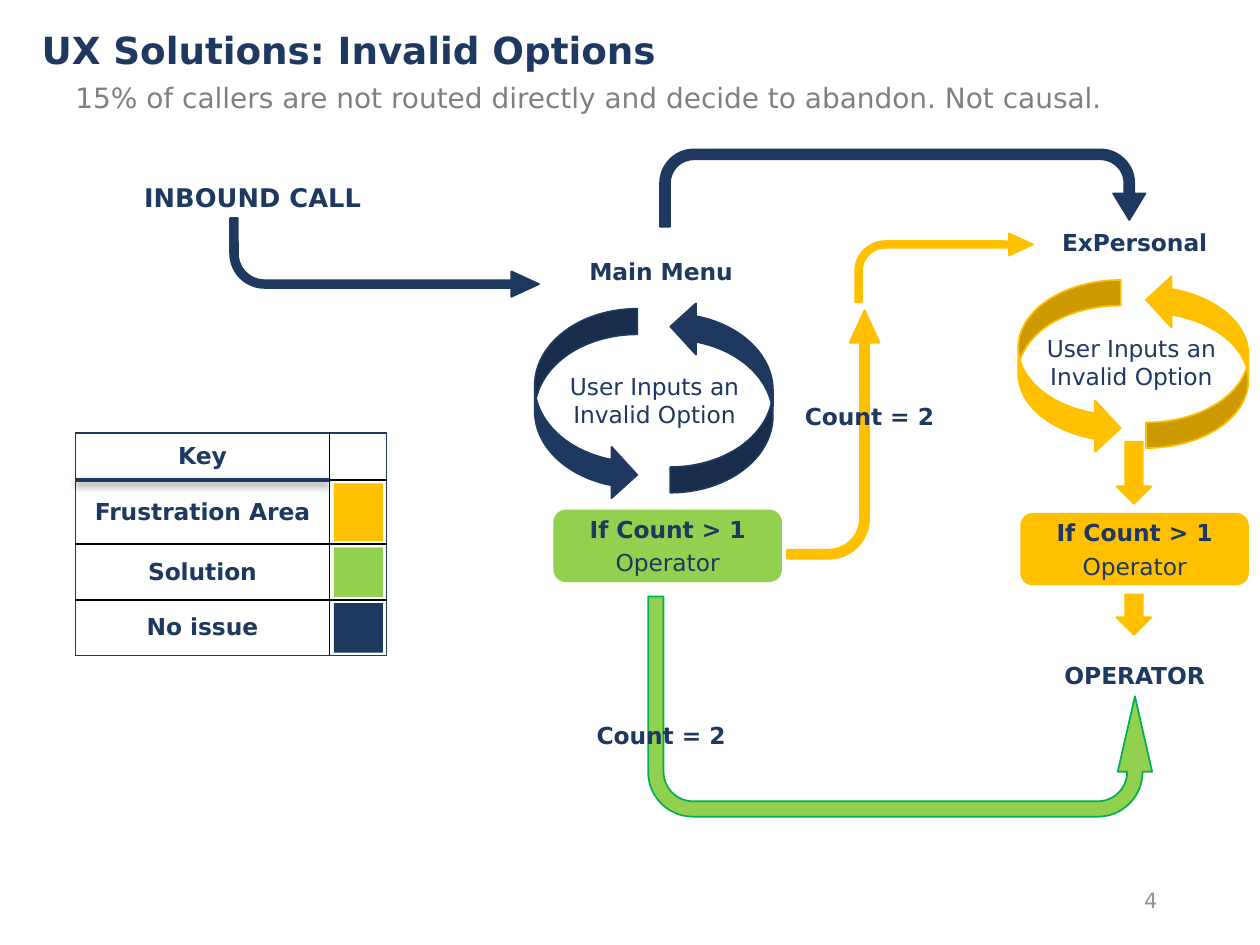
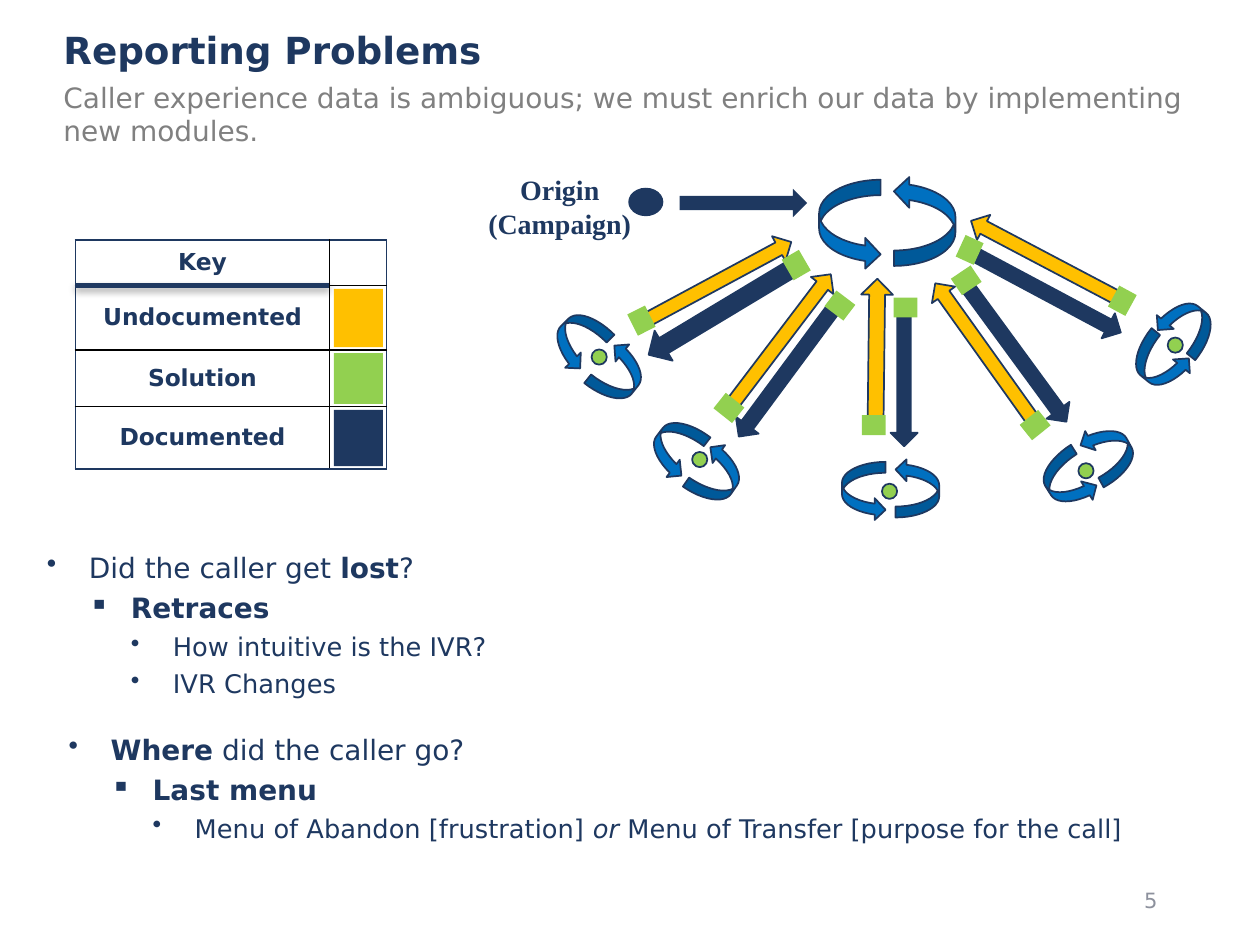
from lxml.etree import SubElement
from pptx import Presentation
from pptx.dml.color import RGBColor
from pptx.enum.shapes import MSO_CONNECTOR, MSO_SHAPE as Kind
from pptx.enum.text import MSO_ANCHOR as Anchor, PP_ALIGN as Align
from pptx.oxml.ns import qn
from pptx.util import Cm, Pt

COLORS = {
    "navy": "1E3860", "gold": "FFC000", "green": "92D050", "leaf": "00B050",
    "blue": "0070C0", "gray": "808080", "number": "8D919D", "black": "000000",
}
LABEL_WIDTH = 4.29
BENT = (0.099, 0.162, 0.351, 0.438)


def color(name):
    return RGBColor.from_string(COLORS[name])


def write(paragraph, text, size=10, fill="navy", bold=False, italic=False, font="DejaVu Sans"):
    """Add one formatted run to a paragraph."""
    run = paragraph.add_run()
    run.text = text
    run.font.name, run.font.size = font, Pt(size)
    run.font.bold, run.font.italic = bold, italic
    run.font.color.rgb = color(fill)


class Deck:
    def __init__(self):
        self.presentation = Presentation()
        self.presentation.slide_width = Cm(19.05)
        self.presentation.slide_height = Cm(14.29)
        self.slide = None

    def start(self, title, subtitle, number, title_left, subtitle_left):
        """Open a slide with its title, subtitle and page number."""
        self.slide = self.presentation.slides.add_slide(self.presentation.slide_layouts[6])
        self.text([title], title_left, 0.28, 15.42, 1.47, size=16, bold=True)
        self.text([subtitle], subtitle_left, 1.09, 17.58, 0.89, size=12, fill="gray")
        self.text([number], 13.46, 13.23, 4.29, 0.76, align=Align.RIGHT,
                  anchor=Anchor.MIDDLE, size=9, fill="number")

    def text(self, lines, left, top, width, height, align=Align.LEFT,
             anchor=Anchor.TOP, **style):
        box = self.slide.shapes.add_textbox(Cm(left), Cm(top), Cm(width), Cm(height))
        frame = box.text_frame
        frame.word_wrap = True
        frame.vertical_anchor = anchor
        for index, line in enumerate(lines):
            paragraph = frame.paragraphs[0] if index == 0 else frame.add_paragraph()
            paragraph.alignment = align
            write(paragraph, line, **style)

    def label(self, text, left, top, bold=True):
        self.text([text], left, top, LABEL_WIDTH, 0.9, align=Align.CENTER, bold=bold)

    def bullets(self, items, left, top):
        """Each item is a level and its runs of (text, style)."""
        box = self.slide.shapes.add_textbox(Cm(left), Cm(top), Cm(17.58), Cm(2.39))
        frame = box.text_frame
        frame.word_wrap = True
        for index, (level, runs) in enumerate(items):
            paragraph = frame.paragraphs[0] if index == 0 else frame.add_paragraph()
            paragraph.level = level
            size = 11 if level == 2 else 12
            if index:
                paragraph.space_before = Pt(size * 0.24)
            properties = paragraph._p.get_or_add_pPr()
            properties.set("marL", str(Cm(0.635 * (level + 1))))
            properties.set("indent", str(-Cm(0.635)))
            SubElement(properties, qn("a:buChar"), char="▪" if level == 1 else "•")
            for text, style in runs:
                write(paragraph, text, size=size, **style)

    def shape(self, kind, left, top, width, height, fill, line=None,
              rotation=0, flip=None, adjust=()):
        shape = self.slide.shapes.add_shape(kind, Cm(left), Cm(top), Cm(width), Cm(height))
        shape.shadow.inherit = False
        shape.fill.solid()
        shape.fill.fore_color.rgb = color(fill)
        if line:
            shape.line.color.rgb = color(line)
            shape.line.width = Pt(0.75)
        else:
            shape.line.fill.background()
        shape.rotation = rotation
        if flip:
            shape.element.spPr.find(qn("a:xfrm")).set(flip, "1")
        for index, value in enumerate(adjust):
            shape.adjustments[index] = value
        return shape

    def centered(self, kind, x, y, width, height, fill, line=None, rotation=0):
        return self.shape(kind, x - width / 2, y - height / 2, width, height,
                          fill, line, rotation)

    def loop(self, halves, width, height, fill="blue", line="navy"):
        """A cycle of two curved arrows, each given by centre and angle."""
        for x, y, angle in halves:
            self.centered(Kind.CURVED_RIGHT_ARROW, x, y, width, height, fill, line, angle)

    def decision(self, left, top, fill):
        shape = self.shape(Kind.ROUNDED_RECTANGLE, left, top, 3.43, 1.07, fill, fill)
        frame = shape.text_frame
        frame.margin_top = frame.margin_bottom = 0
        frame.vertical_anchor = Anchor.MIDDLE
        first, second = frame.paragraphs[0], frame.add_paragraph()
        first.alignment = second.alignment = Align.CENTER
        second.space_before = Pt(2.4)
        write(first, "If Count > 1", bold=True)
        write(second, "Operator")

    def key(self, top, heights, labels):
        """The colour key: a table with a swatch in each body row."""
        left, columns = 1.14, (3.84, 0.86)
        table = self.slide.shapes.add_table(
            4, 2, Cm(left), Cm(top), Cm(sum(columns)), Cm(sum(heights))).table
        table.first_row = table.horz_banding = False
        for column, width in zip(table.columns, columns):
            column.width = Cm(width)
        for row, height in zip(table.rows, heights):
            row.height = Cm(height)
        for row, text in enumerate(("Key",) + labels):
            for column in range(2):
                cell = table.cell(row, column)
                cell.margin_top = cell.margin_bottom = 0
                cell.margin_left = cell.margin_right = 0
                cell.vertical_anchor = Anchor.MIDDLE
                outer = {"L": column == 0, "R": column == 1, "T": row == 0, "B": row == 3}
                self.borders(cell, outer)
                cell.fill.background()
                paragraph = cell.text_frame.paragraphs[0]
                paragraph.alignment = Align.CENTER
                if column == 0:
                    write(paragraph, text, bold=True)
                else:
                    SubElement(paragraph._p, qn("a:endParaRPr"), sz="1000")
        self.header_rule(left, top + heights[0], columns[0])
        for row, fill in enumerate(("gold", "green", "navy"), start=1):
            self.shape(Kind.RECTANGLE, left + columns[0] + 0.07, top + sum(heights[:row]) + 0.05,
                       0.74, heights[row] - 0.09, fill)

    def borders(self, cell, outer):
        properties = cell._tc.get_or_add_tcPr()
        for side, is_outer in outer.items():
            line = SubElement(properties, qn("a:ln" + side), w=str(Pt(0.75)))
            fill = SubElement(line, qn("a:solidFill"))
            SubElement(fill, qn("a:srgbClr"), val=COLORS["navy" if is_outer else "black"])

    def header_rule(self, left, y, width):
        rule = self.slide.shapes.add_connector(
            MSO_CONNECTOR.STRAIGHT, Cm(left), Cm(y), Cm(left + width), Cm(y))
        rule.line.color.rgb = color("navy")
        rule.line.width = Pt(2)
        effects = SubElement(rule.element.spPr, qn("a:effectLst"))
        shadow = SubElement(effects, qn("a:outerShdw"), blurRad=str(Pt(3.1)),
                            dist=str(Pt(1.6)), dir="5400000", rotWithShape="0")
        tint = SubElement(shadow, qn("a:srgbClr"), val=COLORS["black"])
        SubElement(tint, qn("a:alpha"), val="38000")


def invalid_options(deck):
    deck.start("UX Solutions: Invalid Options",
               "15% of callers are not routed directly and decide to abandon. Not causal.",
               "4", 0.38, 0.89)

    # Menu loops
    deck.loop([(8.86, 6.12, 0), (10.91, 6.0, 180)], 1.55, 2.9, "navy", "navy")
    deck.loop([(16.17, 5.55, 0), (18.1, 5.46, 180)], 1.55, 2.63, "gold", "gold")

    # Routes between the steps
    deck.shape(Kind.U_TURN_ARROW, 9.98, 2.26, 7.34, 1.17, "navy", "navy",
               adjust=(0.129, 0.209, 0.343, 0.438, 0.913))
    deck.shape(Kind.U_TURN_ARROW, 9.8, 9.02, 7.62, 3.33, "green", "leaf", 180, "flipH",
               (0.07, 0.078, 0.343, 0.438, 0.547))
    deck.shape(Kind.BENT_ARROW, 3.48, 3.3, 4.67, 1.19, "navy", "navy", 0, "flipV", BENT)
    deck.shape(Kind.BENT_ARROW, 10.72, 5.87, 3.76, 1.4, "gold", "gold", 90, "flipH", BENT)
    deck.shape(Kind.BENT_ARROW, 12.93, 3.53, 2.69, 1.04, "gold", "gold", adjust=BENT)
    for top, height in ((6.68, 0.94), (8.99, 0.61)):
        deck.shape(Kind.DOWN_ARROW, 16.88, top, 0.53, height, "gold", "gold")

    # Decisions and labels
    deck.decision(8.38, 7.72, "green")
    deck.decision(15.44, 7.77, "gold")
    deck.text(["INBOUND CALL"], 1.93, 2.62, 3.89, 0.74, size=11, bold=True)
    for text, left, top in (("Main Menu", 7.85, 3.76), ("ExPersonal", 15.01, 3.33),
                            ("OPERATOR", 15.01, 9.88), ("Count = 2", 7.85, 10.78),
                            ("Count = 2", 11.0, 5.96)):
        deck.label(text, left, top)
    for left, top in ((7.75, 5.51), (14.96, 4.93)):
        deck.label("User Inputs an Invalid Option", left, top, bold=False)

    deck.key(6.55, (0.71, 0.97, 0.84, 0.84), ("Frustration Area", "Solution", "No issue"))


def reporting_problems(deck):
    deck.start("Reporting Problems",
               "Caller experience data is ambiguous; we must enrich our data by "
               "implementing new modules.", "5", 0.71, 0.71)

    # Origin and main menu
    deck.text(["Origin", "(Campaign)"], 6.99, 2.49, 2.95, 1.27, align=Align.CENTER,
              size=12, bold=True, font="Times New Roman")
    deck.shape(Kind.OVAL, 9.5, 2.84, 0.53, 0.43, "navy")
    deck.centered(Kind.DOWN_ARROW, 11.24, 3.07, 0.43, 1.93, "navy", rotation=270)
    deck.loop([(12.85, 3.4, 0), (13.98, 3.34, 180)], 0.93, 1.36)

    # Submenus: two loop halves and a dot
    submenus = [
        ((8.74, 5.14, 45.6), (9.37, 5.65, 218.7), (9.06, 5.4)),
        ((10.21, 6.77, 37.3), (10.85, 7.18, 214.9), (10.58, 6.95)),
        ((13.06, 7.43, 0), (13.87, 7.38, 180), (13.45, 7.43)),
        ((16.15, 7.28, 327.8), (16.76, 6.82, 151.2), (16.42, 7.12)),
        ((17.55, 5.5, 309), (17.93, 4.91, 128.9), (17.77, 5.22)),
    ]
    for first, second, dot in submenus:
        deck.loop([first, second], 0.66, 0.89)
        deck.centered(Kind.OVAL, *dot, 0.23, 0.23, "green", "navy")

    # Documented and undocumented paths: centre, angle, size
    paths = {
        "navy": [(10.93, 4.69, 59, 0.53, 2.62), (11.95, 5.55, 36.5, 0.43, 2.62),
                 (13.67, 5.66, 0, 0.41, 2.18), (15.35, 5.32, 323.8, 0.43, 2.62),
                 (15.79, 4.41, 298.1, 0.43, 2.62)],
        "gold": [(10.81, 4.28, 241.7, 0.43, 2.62), (11.77, 5.19, 217.2, 0.43, 2.62),
                 (13.25, 5.37, 180.7, 0.48, 2.31), (14.9, 5.35, 144.5, 0.43, 2.62),
                 (15.84, 3.95, 117.8, 0.43, 2.62)],
    }
    for fill, arrows in paths.items():
        for x, y, angle, width, height in arrows:
            deck.centered(Kind.DOWN_ARROW, x, y, width, height, fill, "navy", angle)

    # Solution markers at the start of each path
    for x, y, angle in ((14.66, 3.78, 24.7), (14.61, 4.24, 56), (15.65, 6.43, 51.1),
                        (13.69, 4.65, 90), (13.21, 6.43, 90), (16.97, 4.55, 28.6),
                        (11.02, 6.17, 128.4), (12.7, 4.62, 307.2),
                        (12.04, 4.01, 329.9), (9.7, 4.85, 333.4)):
        deck.centered(Kind.RECTANGLE, x, y, 0.3, 0.36, "green", rotation=angle)

    deck.key(3.63, (0.69, 0.97, 0.86, 0.94), ("Undocumented", "Solution", "Documented"))

    # Questions
    plain, bold, italic = {}, {"bold": True}, {"italic": True}
    deck.bullets([
        (0, [("Did the caller get ", plain), ("lost", bold), ("?", plain)]),
        (1, [("Retraces", bold)]),
        (2, [("How intuitive is the IVR?", plain)]),
        (2, [("IVR Changes", plain)]),
    ], 0.46, 8.2)
    deck.bullets([
        (0, [("Where", bold), (" did the caller go?", plain)]),
        (1, [("Last menu", bold)]),
        (2, [("Menu of Abandon [frustration] ", plain), ("or", italic),
             (" Menu of Transfer [purpose for the call]", plain)]),
    ], 0.79, 10.95)


def main():
    deck = Deck()
    invalid_options(deck)
    reporting_problems(deck)
    deck.presentation.save("out.pptx")


if __name__ == "__main__":
    main()
